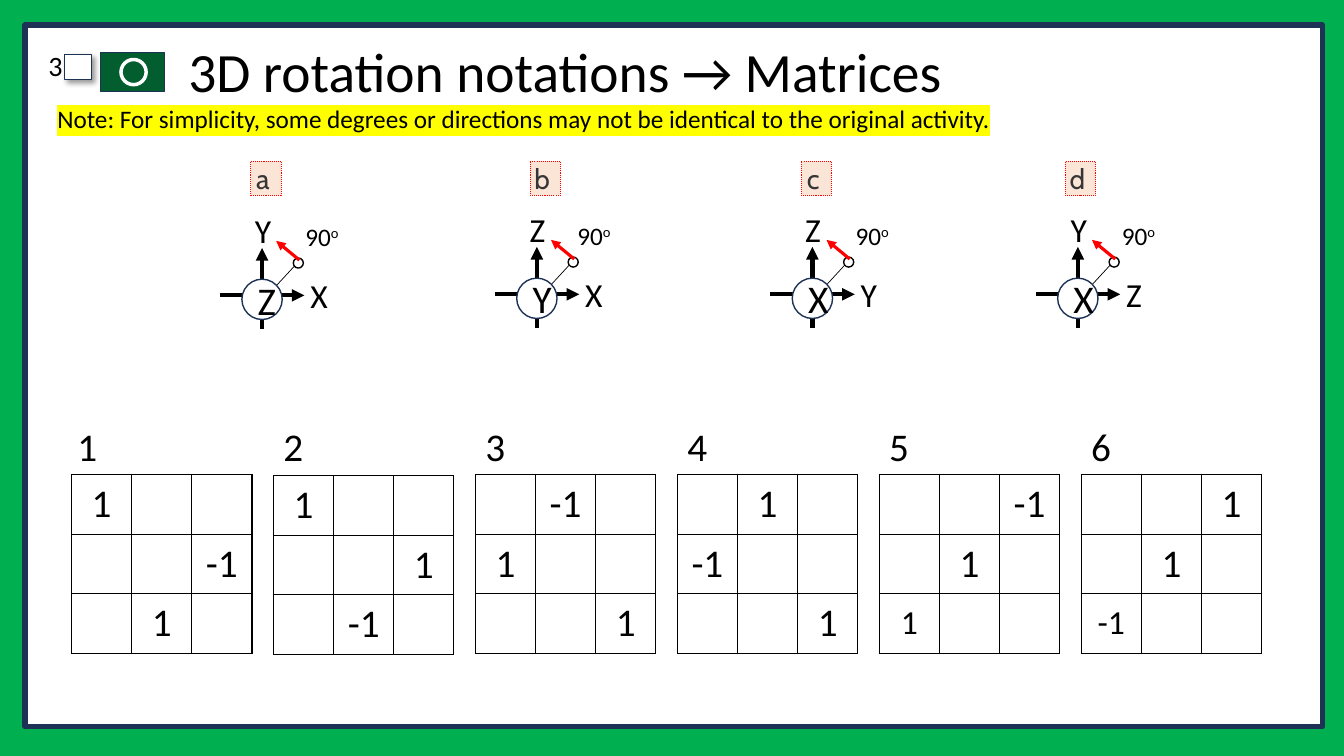
from pptx import Presentation, util as u
from pptx.dml.color import RGBColor
from pptx.enum import dml, shapes, text
from pptx.oxml import parse_xml
from pptx.oxml.ns import nsdecls, qn

CELL = u.Inches(13.333) / 40
BLACK, WHITE, NAVY, RED, GREEN = "000000", "FFFFFF", "1E3256", "FF0000", "035E2F"
RECTANGLE, OVAL = shapes.MSO_SHAPE.RECTANGLE, shapes.MSO_SHAPE.OVAL
CENTER, MIDDLE = text.PP_ALIGN.CENTER, text.MSO_ANCHOR.MIDDLE
DIAGRAMS = [
    ("a", "Z", "X", "Y", 7.8, 8.79, 7.47, 8.79),
    ("b", "Y", "X", "Z", 15.98, 8.76, 15.78, 16.89),
    ("c", "X", "Y", "Z", 24.18, 8.76, 23.85, 25.17),
    ("d", "X", "Z", "Y", 32.08, 8.76, 31.71, 33.09),
]
MATRICES = [
    [["1", "", ""], ["", "", "-1"], ["", "1", ""]],
    [["1", "", ""], ["", "", "1"], ["", "-1", ""]],
    [["", "-1", ""], ["1", "", ""], ["", "", "1"]],
    [["", "1", ""], ["-1", "", ""], ["", "", "1"]],
    [["", "", "-1"], ["", "1", ""], ["1", "", ""]],
    [["", "", "1"], ["", "1", ""], ["-1", "", ""]],
]


def color(value):
    """Turn a hex string into a colour."""
    return RGBColor.from_string(value)


def grid(*cells):
    """Turn counts of grid cells into lengths."""
    return [u.Emu(round(cell * CELL)) for cell in cells]


def element(markup):
    """Build a drawing element from its inner markup."""
    tag, _, rest = markup.partition(" ")
    return parse_xml(f"<a:{tag} {nsdecls('a')} {rest}")


def write(frame, words, size=28, font="Calibri", ink=BLACK, align=None, anchor=None,
          spacing=None, before=None, highlight=None, superscript=None):
    """Write one formatted paragraph into a text frame."""
    paragraph = frame.paragraphs[0]
    paragraph.alignment, paragraph.line_spacing = align, spacing
    if before:
        paragraph.space_before = u.Pt(before)
    if anchor is not None:
        frame.vertical_anchor = anchor
    for part in filter(None, (words, superscript)):
        run = paragraph.add_run()
        run.text = part
        run.font.size, run.font.name = u.Pt(size), font
        run.font.color.rgb = color(ink)
        properties = run._r.get_or_add_rPr()
        if part == superscript:
            properties.set("baseline", "30000")
        if highlight:
            mark = element(f'highlight ><a:srgbClr val="{highlight}"/></a:highlight>')
            properties.find(qn("a:solidFill")).addnext(mark)


def add_label(slide, place, words, wrap=True, grow=True, **style):
    """Add a text box."""
    frame = slide.shapes.add_textbox(*grid(*place)).text_frame
    frame.word_wrap = wrap
    if grow:
        frame.auto_size = text.MSO_AUTO_SIZE.SHAPE_TO_FIT_TEXT
    write(frame, words, **style)


def add_figure(parent, kind, place, fill, line, width):
    """Add an outlined preset shape."""
    shape = parent.shapes.add_shape(kind, *grid(*place))
    shape.shadow.inherit = False
    shape.fill.solid()
    shape.fill.fore_color.rgb = color(fill)
    shape.line.color.rgb = color(line)
    shape.line.width = u.Pt(width)
    return shape


def add_line(parent, start, end, ink, width, arrow=True):
    """Add a straight line, with an arrowhead at its end if wanted."""
    line = parent.shapes.add_connector(shapes.MSO_CONNECTOR.STRAIGHT, *grid(*start, *end))
    line.line.color.rgb = color(ink)
    line.line.width = u.Pt(width)
    if arrow:
        line.line._get_or_add_ln().append(element('tailEnd type="triangle"/>'))
    line._element.spPr.append(element("effectLst />"))


def add_badge(slide, left, letter):
    """Add a dotted letter badge."""
    badge = add_figure(slide, RECTANGLE, (left, 4.8, 0.9, 1.02), "FBE5D6", RED, 0.75)
    badge.line.dash_style = dml.MSO_LINE.ROUND_DOT
    frame = badge.text_frame
    frame.margin_left = frame.margin_right = frame.margin_top = frame.margin_bottom = 0
    frame.auto_size = text.MSO_AUTO_SIZE.SHAPE_TO_FIT_TEXT
    write(frame, letter + " ", size=20, font="Cabin", ink="373637", align=CENTER)


def add_rotation(slide, letter, toward, right, up, x, y, badge_left, angle_left):
    """Add a rotation diagram around the centre x, y."""
    add_label(slide, (x + 1.14, y - 0.75, 1.17, 1.5), right, size=24)
    add_label(slide, (x - 0.51, y - 2.7, 1.17, 1.5), up, size=24)
    axes = slide.shapes.add_group_shape()
    add_line(axes, (x - 0.09, y + 0.27), (x + 0.99, y - 0.9), BLACK, 0.5, arrow=False)
    add_line(axes, (x, y + 0.99), (x, y - 1.41), BLACK, 3)
    add_line(axes, (x - 1.26, y), (x + 1.26, y), BLACK, 3)
    add_figure(axes, OVAL, (x + 0.93, y - 1.11, 0.3, 0.3), WHITE, BLACK, 1)
    hub = add_figure(slide, OVAL, (x - 0.6, y - 0.48, 1.2, 1.2), WHITE, NAVY, 1)
    write(hub.text_frame, toward, align=CENTER, anchor=MIDDLE)
    add_line(slide, (x + 1.11, y - 1.05), (x + 0.42, y - 1.62), RED, 2.25)
    add_label(slide, (angle_left, y - 2.36, 1.77, 1.2), "90", size=18, superscript="o")
    add_badge(slide, badge_left, letter)


def add_matrix(slide, left, top, values):
    """Add a bordered 3 by 3 matrix."""
    table = slide.shapes.add_table(3, 3, *grid(left, top, 5.37, 5.31)).table
    table.first_row = table.horz_banding = False
    for row, line in enumerate(values):
        for column, value in enumerate(line):
            cell = table.cell(row, column)
            size = 24 if row == 2 and column == 0 else 28
            write(cell.text_frame, value, size=size, align=CENTER)
            cell.vertical_anchor = MIDDLE
            properties = cell._tc.get_or_add_tcPr()
            for side in "LRTB":
                properties.append(element(
                    f'ln{side} w="12700"><a:solidFill><a:srgbClr val="{BLACK}"/>'
                    f'</a:solidFill></a:ln{side}>'))
            cell.fill.background()


def add_header(slide):
    """Add the panel, the emblem, the title and the note."""
    add_figure(slide, RECTANGLE, (0.75, 0.75, 38.61, 20.88), WHITE, NAVY, 4)
    box = add_figure(slide, RECTANGLE, (1.92, 1.62, 0.81, 0.75), WHITE, NAVY, 1)
    box._element.spPr.find(qn("a:effectLst")).append(element(
        'outerShdw blurRad="50800" dist="38100" dir="2700000" algn="tl" rotWithShape="0">'
        f'<a:srgbClr val="{BLACK}"><a:alpha val="40000"/></a:srgbClr></a:outerShdw>'))
    add_figure(slide, RECTANGLE, (3, 1.56, 1.89, 1.17), GREEN, NAVY, 1)
    add_figure(slide, OVAL, (3.6, 1.77, 0.75, 0.75), GREEN, WHITE, 2.5)
    add_label(slide, (-0.06, 1.41, 2.22, 1.35), "3", grow=False, size=20,
              align=text.PP_ALIGN.RIGHT, spacing=0.9, before=10)
    add_label(slide, (5.31, 1.2, 31.95, 2.04), "3D rotation notations → Matrices",
              grow=False, size=39.6, anchor=MIDDLE, spacing=0.9)
    add_label(slide, (1.41, 2.94, 28.71, 1.2),
              "Note: For simplicity, some degrees or directions may not be identical "
              "to the original activity.", wrap=False, size=18, highlight="FFFF00")


def main():
    """Build the slide and save it."""
    presentation = Presentation()
    presentation.slide_width, presentation.slide_height = grid(40, 22.5)
    slide = presentation.slides.add_slide(presentation.slide_layouts[6])
    slide.background.fill.solid()
    slide.background.fill.fore_color.rgb = color("00B050")
    add_header(slide)
    for diagram in DIAGRAMS:
        add_rotation(slide, *diagram)
    for index, values in enumerate(MATRICES):
        left = 2.13 + 6.01 * index
        add_matrix(slide, left, 14.16 if index == 1 else 14.13, values)
        add_label(slide, (left if index else 2.01, 12.42, 1.23, 1.71),
                  str(index + 1), wrap=False)
    presentation.save("out.pptx")


if __name__ == "__main__":
    main()
